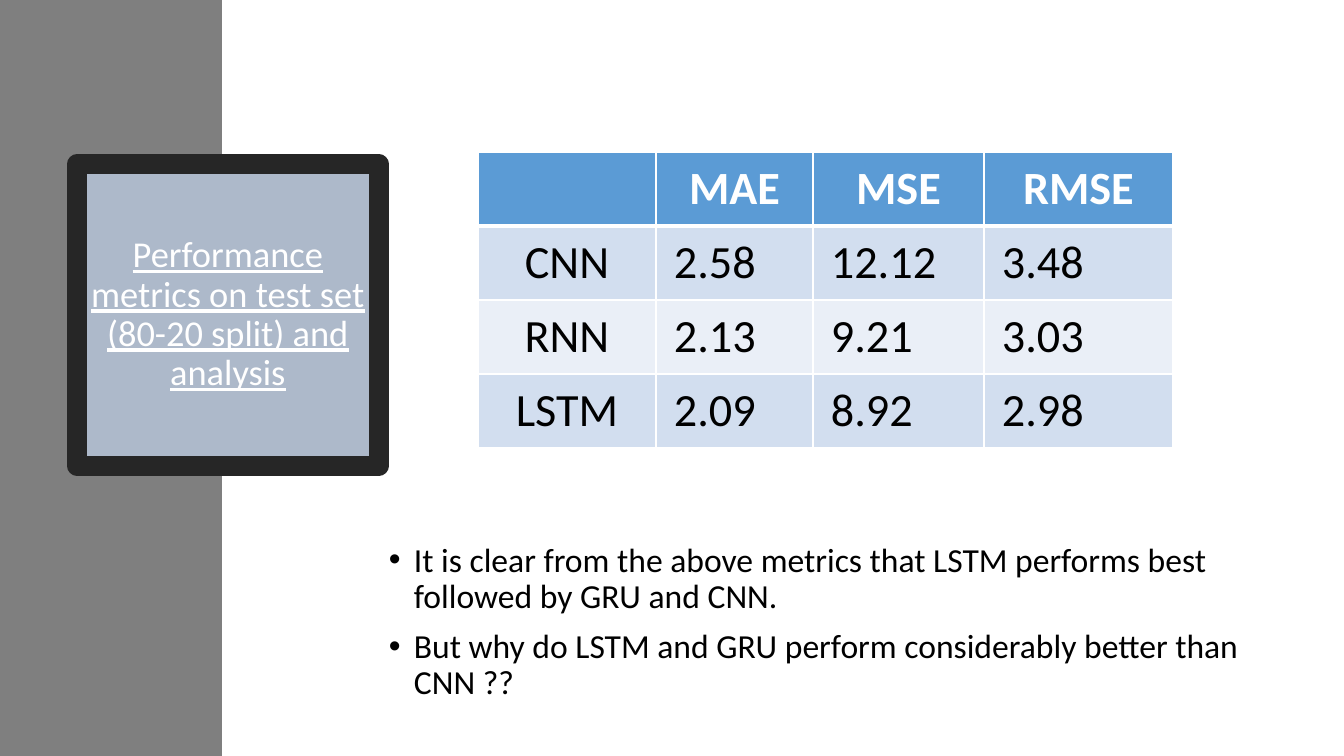
from lxml import etree
from pptx import Presentation
from pptx.dml.color import RGBColor
from pptx.enum.shapes import MSO_SHAPE
from pptx.enum.text import MSO_ANCHOR, PP_ALIGN
from pptx.oxml.ns import qn
from pptx.util import Pt

RECTANGLE = MSO_SHAPE.RECTANGLE
MIDDLE = MSO_ANCHOR.MIDDLE
LEFT, CENTER = PP_ALIGN.LEFT, PP_ALIGN.CENTER

PAGE_WIDTH, PAGE_HEIGHT = 1344, 756
EMU_PER_PX = 12192000 / PAGE_WIDTH
FONT = "Calibri"
WHITE, BLACK = "FFFFFF", "000000"
HEADER_FILL, BAND_FILLS = "5B9BD5", ("D2DEEF", "EAEFF7")

TITLE = "Performance metrics on test set (80-20 split) and analysis"
METRICS = [
    ["", "MAE", "MSE", "RMSE"],
    ["CNN", "2.58", "12.12", "3.48"],
    ["RNN", "2.13", "9.21", "3.03"],
    ["LSTM", "2.09", "8.92", "2.98"],
]
COLUMN_WIDTHS = [178, 157, 171, 189]
REMARKS = [
    "It is clear from the above metrics that LSTM performs best followed by GRU and CNN.",
    "But why do LSTM and GRU perform considerably better than CNN ??",
]


def px(length):
    return round(length * EMU_PER_PX)


def color(code):
    return RGBColor.from_string(code)


def style_font(font, size, code, bold=False, underline=False):
    font.name = FONT
    font.size = Pt(size)
    font.bold = bold
    font.underline = underline
    font.color.rgb = color(code)


def add_rectangle(page, box, fill):
    shape = page.shapes.add_shape(RECTANGLE, *map(px, box))
    shape.shadow.inherit = False
    shape.fill.solid()
    shape.fill.fore_color.rgb = color(fill)
    shape.line.fill.background()
    return shape


def add_title(page, box):
    frame = add_rectangle(page, box, "ADB9CA")
    frame.line.color.rgb = color("262626")
    frame.line.width = Pt(13.75)
    etree.SubElement(frame.line._get_or_add_ln(), qn("a:round"))
    text = frame.text_frame
    text.word_wrap = True
    text.vertical_anchor = MIDDLE
    text.text = TITLE
    para = text.paragraphs[0]
    para.alignment = CENTER
    para.line_spacing = 0.9
    style_font(para.runs[0].font, 26, WHITE, underline=True)


def add_borders(cell, top, bottom):
    properties = cell._tc.get_or_add_tcPr()
    for side, width in (("L", 1), ("R", 1), ("T", top), ("B", bottom)):
        line = etree.SubElement(properties, qn(f"a:ln{side}"), w=str(Pt(width)))
        fill = etree.SubElement(line, qn("a:solidFill"))
        etree.SubElement(fill, qn("a:srgbClr"), val=WHITE)


def add_metrics_table(page, box):
    table = page.shapes.add_table(len(METRICS), len(COLUMN_WIDTHS), *map(px, box)).table
    for column, width in zip(table.columns, COLUMN_WIDTHS):
        column.width = px(width)
    for row_index, values in enumerate(METRICS):
        is_header = row_index == 0
        table.rows[row_index].height = px(box[3] // len(METRICS))
        for column_index, value in enumerate(values):
            cell = table.cell(row_index, column_index)
            add_borders(cell, 3 if row_index == 1 else 1, 3 if is_header else 1)
            cell.fill.solid()
            fill = HEADER_FILL if is_header else BAND_FILLS[(row_index - 1) % 2]
            cell.fill.fore_color.rgb = color(fill)
            cell.margin_left = cell.margin_right = px(18)
            cell.margin_top = cell.margin_bottom = px(9)
            cell.text = value
            para = cell.text_frame.paragraphs[0]
            para.alignment = CENTER if is_header or column_index == 0 else LEFT
            style_font(para.font, 33, WHITE if is_header else BLACK, bold=is_header)
            for span in para.runs:
                style_font(span.font, 33, WHITE if is_header else BLACK, bold=is_header)


def add_remarks(page, box):
    text = page.shapes.add_textbox(*map(px, box)).text_frame
    text.word_wrap = True
    text.text = "\n".join(REMARKS)
    for index, para in enumerate(text.paragraphs):
        para.line_spacing = 0.9
        para.space_before = Pt(10 if index else 0)
        properties = para._p.get_or_add_pPr()
        properties.set("marL", str(px(25)))
        properties.set("indent", str(-px(25)))
        etree.SubElement(properties, qn("a:buFont"), typeface="Arial")
        etree.SubElement(properties, qn("a:buChar"), char="•")
        style_font(para.runs[0].font, 24, BLACK)


def main():
    deck = Presentation()
    deck.slide_width, deck.slide_height = px(PAGE_WIDTH), px(PAGE_HEIGHT)
    page = deck.slides.add_slide(deck.slide_layouts[6])
    add_rectangle(page, (0, 0, 222, PAGE_HEIGHT), "7F7F7F")
    add_title(page, (77, 164, 302, 302))
    add_remarks(page, (379, 538, 910, 159))
    add_metrics_table(page, (478, 152, sum(COLUMN_WIDTHS), 296))
    deck.save("out.pptx")


if __name__ == "__main__":
    main()
